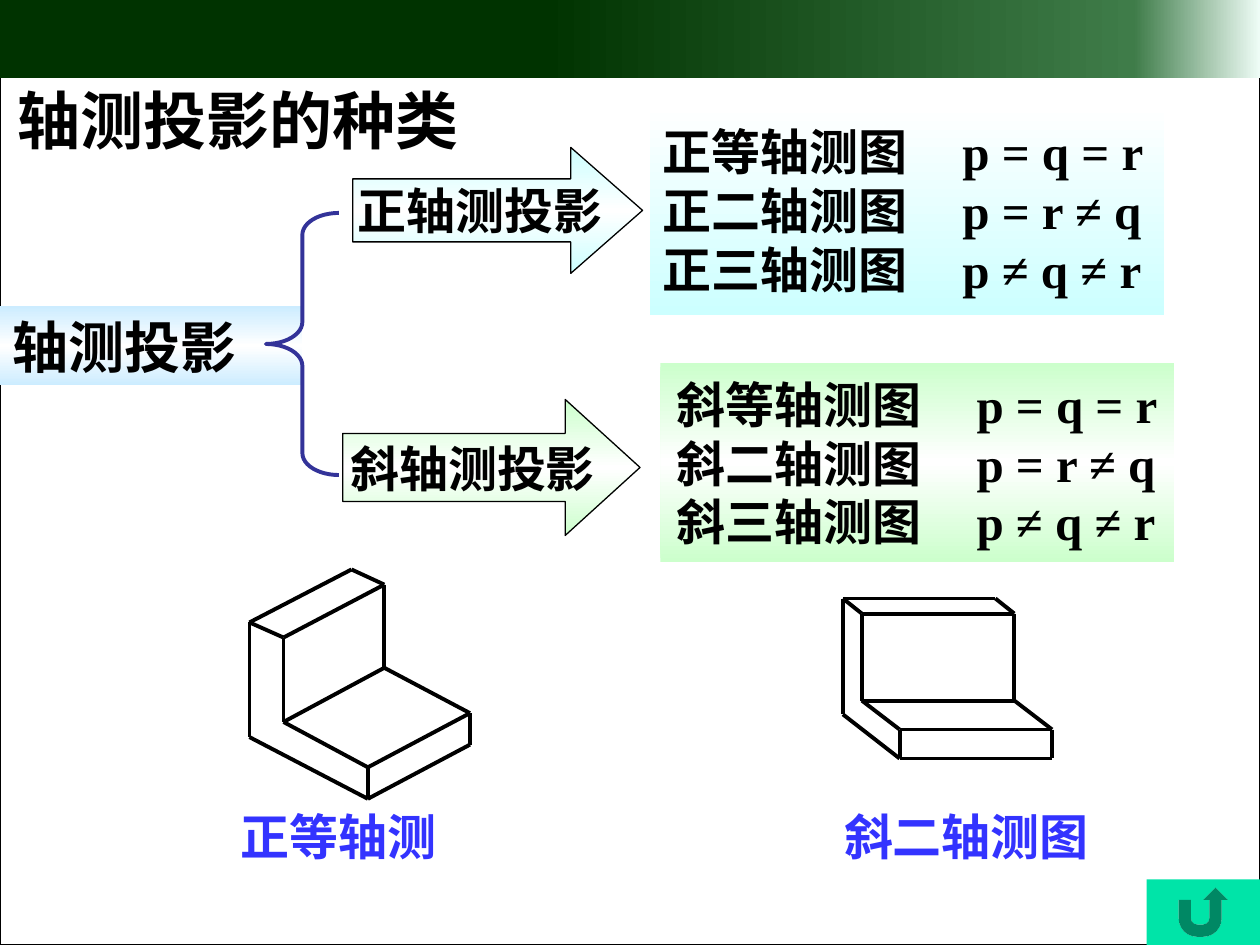
"""Build the slide on the kinds of axonometric projection."""
from copy import deepcopy

from lxml.etree import SubElement
from pptx import Presentation
from pptx.dml.color import RGBColor
from pptx.enum.shapes import MSO_CONNECTOR, MSO_SHAPE
from pptx.enum.text import MSO_ANCHOR, PP_ALIGN
from pptx.oxml.ns import qn
from pptx.util import Inches, Pt

presentation = Presentation()
presentation.slide_width, presentation.slide_height = Inches(10), Inches(7.5)
slide = presentation.slides.add_slide(presentation.slide_layouts[6])
column = presentation.slide_width // 100
row = presentation.slide_height // 75
color = RGBColor.from_string


def add_shape(preset, left, top, width, height, stops=(), angle=270, line=None, weight=0.75):
    shape = slide.shapes.add_shape(
        preset, int(left * column), int(top * row), int(width * column), int(height * row))
    shape.shadow.inherit = False
    if len(stops) > 1:
        shape.fill.gradient()
        shape.fill.gradient_angle = angle
        stop_list = shape._element.spPr.find(".//" + qn("a:gsLst"))
        for _ in stops[2:]:
            stop_list.append(deepcopy(stop_list[-1]))
        for stop, (position, shade) in zip(shape.fill.gradient_stops, stops):
            stop.position = position
            stop.color.rgb = color(shade)
    elif stops:
        shape.fill.solid()
        shape.fill.fore_color.rgb = color(stops[0])
    else:
        shape.fill.background()
    if line:
        shape.line.color.rgb = color(line)
        shape.line.width = Pt(weight)
    else:
        shape.line.fill.background()
    return shape


def write(shape, lines, size, shade="000000", font="Times New Roman", wrap=True,
          anchor=MSO_ANCHOR.TOP, align=PP_ALIGN.LEFT, indent=1, tab=None):
    frame = shape.text_frame
    frame.word_wrap = wrap
    frame.vertical_anchor = anchor
    frame.margin_left = int(indent * column)
    frame.text = "\n".join(lines)
    for paragraph in frame.paragraphs:
        paragraph.alignment = align
        if tab:
            tabs = SubElement(paragraph._p.get_or_add_pPr(), qn("a:tabLst"))
            SubElement(tabs, qn("a:tab"), pos=str(int(tab * column)), algn="l")
        paragraph.font.name = font
        paragraph.font.size = Pt(size)
        paragraph.font.bold = True
        paragraph.font.color.rgb = color(shade)


blue = [(0, "CCECFF"), (0.5, "FFFFFF"), (1, "CCECFF")]
cyan = [(0, "CCFFFF"), (0.5, "FFFFFF"), (1, "CCFFFF")]
green = [(0, "CCFFCC"), (0.5, "FFFFFF"), (1, "CCFFCC")]
pale = [(0, "FFFFFF"), (1, "CCFFFF")]
banner = [(0.43, "003300"), (0.9, "3F7C49"), (1, "EEFCF6")]

add_shape(MSO_SHAPE.RECTANGLE, 0, 0, 100, 75, line="000000")
add_shape(MSO_SHAPE.RECTANGLE, 0, -0.2, 100, 6.4, banner, angle=0)

title = slide.shapes.add_textbox(0, 6 * row, 42 * column, 7 * row)
write(title, ["轴测投影的种类"], 36, font="Noto Sans CJK SC", indent=1.4)

root = add_shape(MSO_SHAPE.RECTANGLE, 0, 24.3, 24, 6.3, blue)
write(root, ["轴测投影"], 32)
brace = add_shape(MSO_SHAPE.LEFT_BRACE, 21.1, 16.9, 5.8, 20.8, line="333399", weight=2.25)
brace.adjustments[0] = 0.3

branches = [
    ("正", (28, 11.7, 23, 10), 0.57, cyan, (51.6, 8.3, 40.8, 16.7), pale, 1),
    ("斜", (27.2, 31.7, 23.6, 10.8), 0.55, green, (52.4, 28.8, 40.8, 15.8), green, 1.3),
]
ratios = {"等": "p = q = r", "二": "p = r ≠ q", "三": "p ≠ q ≠ r"}
for kind, arrow_place, head, arrow_fill, box_place, box_fill, indent in branches:
    arrow = add_shape(MSO_SHAPE.RIGHT_ARROW, *arrow_place, arrow_fill, line="000000")
    arrow.adjustments[1] = head
    write(arrow, [f"{kind}轴测投影"], 28, wrap=False, anchor=MSO_ANCHOR.MIDDLE,
          align=PP_ALIGN.CENTER)
    box = add_shape(MSO_SHAPE.RECTANGLE, *box_place, box_fill)
    write(box, [f"{kind}{name}轴测图\t{ratio}" for name, ratio in ratios.items()], 28,
          anchor=MSO_ANCHOR.MIDDLE, indent=indent, tab=23.8)

isometric = {
    "A": (27.9, 45.2), "B": (19.8, 49.4), "C": (22.5, 50.6), "D": (30.5, 46.4),
    "E": (19.8, 58.5), "F": (22.5, 57.3), "G": (29.2, 63.4), "H": (29.2, 60.9),
    "I": (37.3, 56.6), "J": (37.3, 59.1), "K": (30.5, 53),
}
oblique = {
    "A": (66.9, 47.5), "B": (66.9, 56.7), "C": (71.4, 60.2), "D": (79, 47.5),
    "E": (68.4, 48.7), "F": (68.4, 55.6), "G": (80.5, 48.7), "H": (80.5, 55.6),
    "I": (83.5, 60.2), "J": (71.4, 57.9), "K": (83.5, 57.9),
}
drawings = [
    (isometric, "AB BC AD CD BE CF EG FH HG HI GJ JI IK DK FK", "正等轴测", 18.1, 17.6),
    (oblique, "AB BC AD AE EF EG DG GH CI CJ JK JF FH HK KI", "斜二轴测图", 66, 21.5),
]
for corners, edges, caption, left, width in drawings:
    group = slide.shapes.add_group_shape()
    for start, end in edges.split():
        ends = [int(share * unit) for corner in (start, end)
                for share, unit in zip(corners[corner], (column, row))]
        edge = group.shapes.add_connector(MSO_CONNECTOR.STRAIGHT, *ends)
        edge.line.color.rgb = color("000000")
        edge.line.width = Pt(2.25)
        SubElement(edge._element.spPr, qn("a:effectLst"))
    label = group.shapes.add_textbox(
        int(left * column), int(63.5 * row), int(width * column), int(5.7 * row))
    write(label, [caption], 28, shade="3333FF", wrap=False)

add_shape(MSO_SHAPE.ACTION_BUTTON_RETURN, 91, 69.8, 9, 5.2, ["00E4A8"])

presentation.save("out.pptx")
